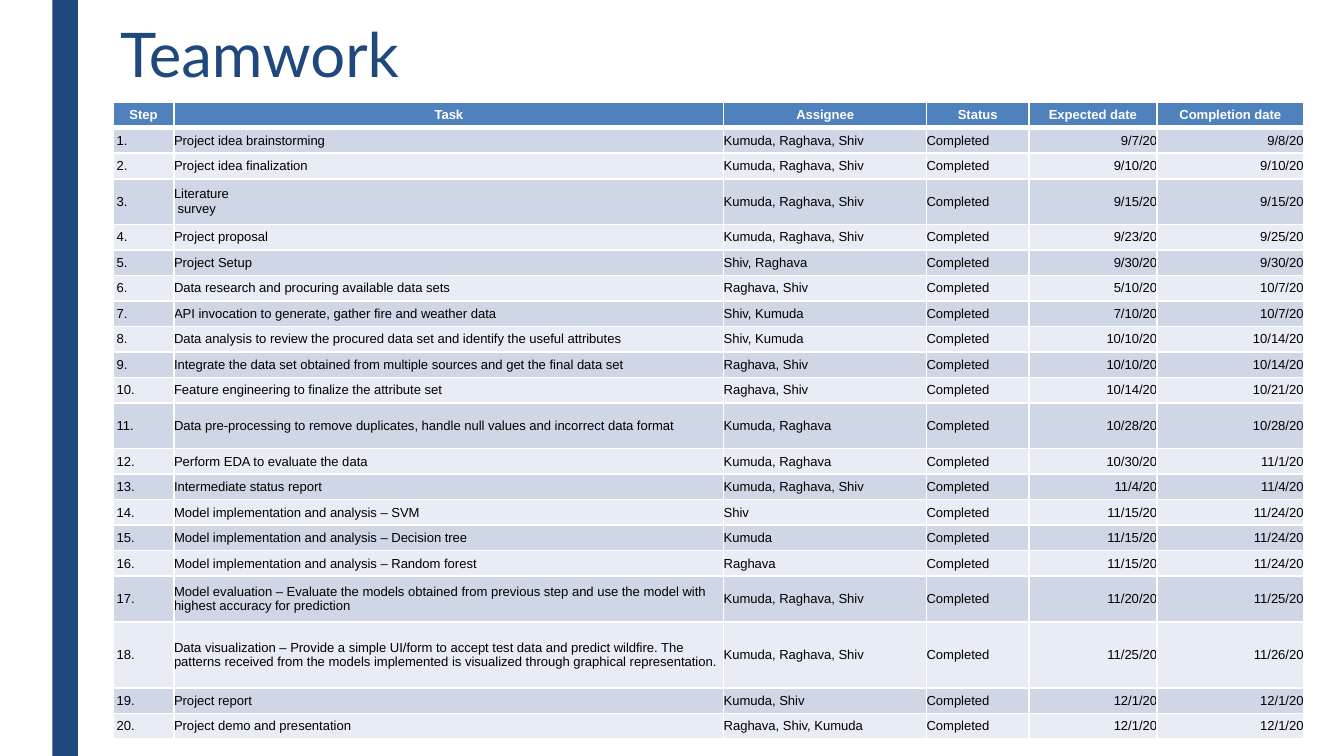
import pptx
import pptx.util
import pptx.dml.color
import pptx.enum.shapes
import pptx.enum.text
import lxml.etree

RGBColor = pptx.dml.color.RGBColor
Pt = pptx.util.Pt
ALIGN = pptx.enum.text.PP_ALIGN
MIDDLE = pptx.enum.text.MSO_ANCHOR.MIDDLE

NAVY = RGBColor(0x1F, 0x49, 0x7D)
BLUE = RGBColor(0x4F, 0x81, 0xBD)
BAND_DARK = RGBColor(0xCF, 0xD7, 0xE7)
BAND_LIGHT = RGBColor(0xE8, 0xEC, 0xF4)
WHITE = RGBColor(0xFF, 0xFF, 0xFF)
BLACK = RGBColor(0, 0, 0)

# Slide of 16 to 9
W = pptx.util.Inches(10)
H = W * 9 // 16

# Column widths and row heights, in percent of the slide
COLS = [4.55, 40.9, 15.1, 7.6, 9.55, 10.9]
ROW = 3.38
TALL_ROWS = {3: 6.05, 11: 6.05, 17: 6.05, 18: 8.72}

HEADER = ["Step", "Task", "Assignee", "Status", "Expected date", "Completion date"]
ALL = "Kumuda, Raghava, Shiv"
STATUS = "Completed"
TASKS = [  # task, assignee, expected date, completion date
    ("Project idea brainstorming", ALL, "9/7/20", "9/8/20"),
    ("Project idea finalization", ALL, "9/10/20", "9/10/20"),
    ("Literature\n survey", ALL, "9/15/20", "9/15/20"),
    ("Project proposal", ALL, "9/23/20", "9/25/20"),
    ("Project Setup", "Shiv, Raghava", "9/30/20", "9/30/20"),
    ("Data research and procuring available data sets", "Raghava, Shiv", "5/10/20", "10/7/20"),
    ("API invocation to generate, gather fire and weather data", "Shiv, Kumuda",
     "7/10/20", "10/7/20"),
    ("Data analysis to review the procured data set and identify the useful attributes",
     "Shiv, Kumuda", "10/10/20", "10/14/20"),
    ("Integrate the data set obtained from multiple sources and get the final data set",
     "Raghava, Shiv", "10/10/20", "10/14/20"),
    ("Feature engineering to finalize the attribute set", "Raghava, Shiv",
     "10/14/20", "10/21/20"),
    ("Data pre-processing to remove duplicates, handle null values and incorrect data format",
     "Kumuda, Raghava", "10/28/20", "10/28/20"),
    ("Perform EDA to evaluate the data", "Kumuda, Raghava", "10/30/20", "11/1/20"),
    ("Intermediate status report", ALL, "11/4/20", "11/4/20"),
    ("Model implementation and analysis – SVM", "Shiv", "11/15/20", "11/24/20"),
    ("Model implementation and analysis – Decision tree", "Kumuda", "11/15/20", "11/24/20"),
    ("Model implementation and analysis – Random forest", "Raghava", "11/15/20", "11/24/20"),
    ("Model evaluation – Evaluate the models obtained from previous step and use the model "
     "with highest accuracy for prediction", ALL, "11/20/20", "11/25/20"),
    ("Data visualization – Provide a simple UI/form to accept test data and predict wildfire. "
     "The patterns received from the models implemented is visualized through graphical "
     "representation.", ALL, "11/25/20", "11/26/20"),
    ("Project report", "Kumuda, Shiv", "12/1/20", "12/1/20"),
    ("Project demo and presentation", "Raghava, Shiv, Kumuda", "12/1/20", "12/1/20"),
]


def share_x(pct):
    return round(W * pct / 100)


def share_y(pct):
    return round(H * pct / 100)


def box(x, y, w, h):
    return share_x(x), share_y(y), share_x(w), share_y(h)


def write(tf, text, align, color, **font):
    """Fill a text frame, one paragraph a line."""
    tf.text = text
    for p in tf.paragraphs:
        p.alignment = align
        for r in p.runs:
            r.font.color.rgb = color
            for key, value in font.items():
                setattr(r.font, key, value)


def add_bar(s):
    bar = s.shapes.add_shape(pptx.enum.shapes.MSO_SHAPE.RECTANGLE, *box(3.9, 0, 1.9, 100))
    bar.shadow.inherit = False
    bar.fill.solid()
    bar.fill.fore_color.rgb = NAVY
    bar.line.fill.background()


def add_title(s, text):
    tf = s.shapes.add_textbox(*box(7.95, 2.1, 78.8, 11.2)).text_frame
    tf.word_wrap = True
    tf.vertical_anchor = MIDDLE
    write(tf, text, ALIGN.LEFT, NAVY, name="Lato", size=Pt(33))
    tf.paragraphs[0].line_spacing = 0.89


def set_borders(cell, top, bottom):
    """White borders, with widths in points."""
    tcPr = cell._tc.get_or_add_tcPr()
    for side, width in {"L": 1, "R": 1, "T": top, "B": bottom}.items():
        ln = lxml.etree.SubElement(tcPr, pptx.oxml.ns.qn("a:ln" + side), w=str(Pt(width)))
        fill = lxml.etree.SubElement(ln, pptx.oxml.ns.qn("a:solidFill"))
        lxml.etree.SubElement(fill, pptx.oxml.ns.qn("a:srgbClr"), val=str(WHITE))


def format_cell(cell, text, row, col):
    head = row == 0
    set_borders(cell, top=3 if row == 1 else 1, bottom=3 if head else 1)
    cell.fill.solid()
    cell.fill.fore_color.rgb = BLUE if head else BAND_DARK if row % 2 else BAND_LIGHT
    step = col == 0 and not head
    layout = {"vertical_anchor": MIDDLE, "margin_left": Pt(2) if step else 0,
              "margin_right": 0, "margin_top": 0, "margin_bottom": 0}
    for key, value in layout.items():
        setattr(cell, key, value)
    align = ALIGN.CENTER if head else ALIGN.RIGHT if col >= 4 else ALIGN.LEFT
    write(cell.text_frame, text, align, WHITE if head else BLACK,
          name="Arial", size=Pt(7), bold=head)


def add_task_table(s):
    rows = [HEADER] + [(f"{n}.", task, who, STATUS, expected, done)
                       for n, (task, who, expected, done) in enumerate(TASKS, 1)]
    heights = [TALL_ROWS.get(i, ROW) for i in range(len(rows))]
    table = s.shapes.add_table(len(rows), len(COLS),
                               *box(8.4, 13.52, sum(COLS), sum(heights))).table
    for column, width in zip(table.columns, COLS):
        column.width = share_x(width)
    for i, (values, height) in enumerate(zip(rows, heights)):
        table.rows[i].height = share_y(height)
        for j, text in enumerate(values):
            format_cell(table.cell(i, j), text, i, j)


def main():
    prs = pptx.Presentation()
    prs.slide_width, prs.slide_height = W, H
    s = prs.slides.add_slide(prs.slide_layouts[6])

    # Side bar and heading
    add_bar(s)
    add_title(s, "Teamwork")

    # Task plan
    add_task_table(s)

    prs.save("out.pptx")


if __name__ == "__main__":
    main()
